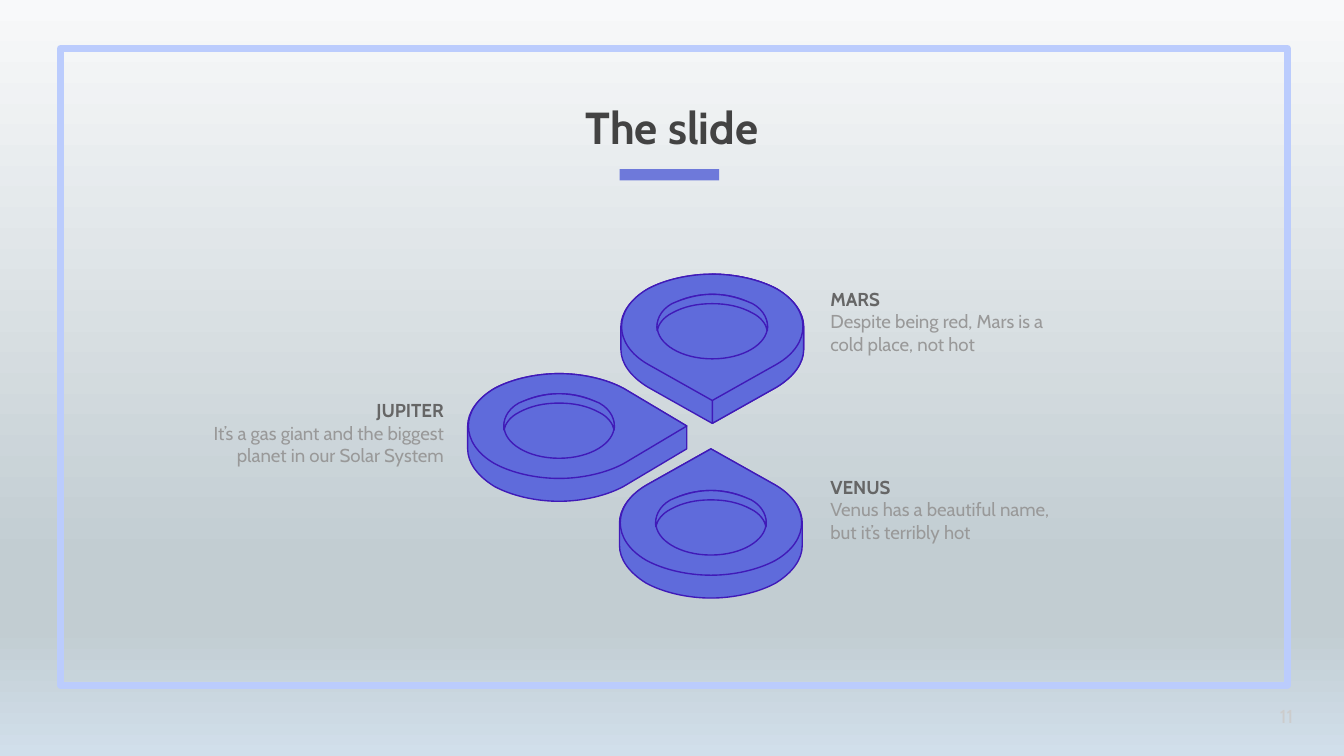
from dataclasses import dataclass

from lxml import etree
from pptx import Presentation
from pptx.dml.color import RGBColor as RGB
from pptx.enum.shapes import MSO_CONNECTOR as CONN, MSO_SHAPE as SHAPE
from pptx.enum.text import MSO_ANCHOR as ANCHOR, MSO_AUTO_SIZE as AUTO, PP_ALIGN as ALIGN
from pptx.oxml.ns import qn
from pptx.util import Inches, Pt


@dataclass(frozen=True)
class Theme:
    """Colours, type sizes and font of the deck."""
    font: str = "Cabin"
    title: str = "434343"
    heading: str = "666666"
    body: str = "999999"
    number: str = "CCCCCC"
    frame: str = "BBCCFD"
    accent: str = "303FD0"
    pin: str = "5F6BDB"
    pin_line: str = "401AB8"
    title_size: int = 24
    text_size: int = 10
    background: tuple = ((0, "F8F9FA"), (74, "C2CDD2"), (83, "C2CDD2"), (100, "D1DFEB"))


T = Theme()
DEPTH = 0.17


def color(value):
    """Return an RGB colour from its hex form."""
    return RGB.from_string(value)


def add_background(s):
    """Fill the slide with the vertical gradient."""
    fill = s.background.fill
    fill.gradient()
    fill.gradient_angle = 270
    stops = s.background._cSld.find(".//" + qn("a:gsLst"))
    for stop in list(stops):
        stops.remove(stop)
    for pos, value in T.background:
        gs = etree.SubElement(stops, qn("a:gs"), pos=str(pos * 1000))
        etree.SubElement(gs, qn("a:srgbClr"), val=value)


def style_text(p, size, value, bold=False, align=ALIGN.LEFT):
    """Format a paragraph and its runs."""
    p.alignment = align
    for r in p.runs:
        r.font.name, r.font.size, r.font.bold = T.font, Pt(size), bold
        r.font.color.rgb = color(value)


def set_frame(tf, anchor=ANCHOR.TOP):
    """Give a text frame wrapping, even margins and an anchor."""
    tf.word_wrap, tf.auto_size, tf.vertical_anchor = True, AUTO.NONE, anchor
    tf.margin_left = tf.margin_right = tf.margin_top = tf.margin_bottom = Inches(0.1)


def add_title(s, text, x, y, w, h):
    """Place the title with its short underline below."""
    sp = s.shapes.title
    sp.left, sp.top, sp.width, sp.height = map(Inches, (x, y, w, h))
    sp.text_frame.text = text
    set_frame(sp.text_frame, ANCHOR.BOTTOM)
    style_text(sp.text_frame.paragraphs[0], T.title_size, T.title, True, ALIGN.CENTER)
    left, top = x + w / 2 - 0.39, y + h + 0.06
    line = s.shapes.add_connector(
        CONN.STRAIGHT, Inches(left), Inches(top), Inches(left + 0.74), Inches(top))
    line.line.width = Pt(6)
    line.line.color.rgb = color(T.accent)
    clr = line._element.spPr.find(".//" + qn("a:srgbClr"))
    etree.SubElement(clr, qn("a:alpha"), val="65000")
    etree.SubElement(line._element.spPr, qn("a:effectLst"))


def add_border(s, x, y, w, h):
    """Draw the open frame around the content."""
    sp = s.shapes.add_shape(SHAPE.RECTANGLE, *map(Inches, (x, y, w, h)))
    sp.shadow.inherit = False
    sp.fill.background()
    sp.line.color.rgb = color(T.frame)
    sp.line.width = Pt(3.5)


def add_label(s, heading, text, x, y, w, h, align):
    """Write a bold heading with its description."""
    tf = s.shapes.add_textbox(*map(Inches, (x, y, w, h))).text_frame
    set_frame(tf)
    tf.text = f"{heading}\n{text}"
    first, second = tf.paragraphs
    style_text(first, T.text_size, T.heading, True, align)
    style_text(second, T.text_size, T.body, False, align)


def add_number(s, text, x, y, w, h):
    """Write the slide number."""
    tf = s.shapes.add_textbox(*map(Inches, (x, y, w, h))).text_frame
    set_frame(tf, ANCHOR.MIDDLE)
    tf.text = text
    style_text(tf.paragraphs[0], T.text_size, T.number, align=ALIGN.RIGHT)


def rotate(segments, depth=0):
    """Turn segments half a turn about the middle of the depth."""
    return [[(-x, depth - y) for x, y in seg] for seg in segments]


def half_outline(tip, depth):
    """Return the left side and lower cap, with an optional tip on either."""
    if tip == "side":
        side = [[(-0.95, 0)], [(-0.95, depth)], [(-0.48, 0.28 + depth)]]
    elif depth:
        side = [[(-0.61, -0.2), (-0.68, -0.1), (-0.68, 0)], [(-0.68, depth)],
                [(-0.68, depth + 0.1), (-0.61, depth + 0.2), (-0.48, depth + 0.28)]]
    else:
        side = [[(-0.74, -0.13), (-0.74, 0.13), (-0.48, 0.28)]]
    if tip == "cap":
        cap = [[(0, 0.55 + depth)], [(0.48, 0.28 + depth)]]
    else:
        cap = [[(-0.35, 0.35 + depth), (-0.17, 0.39 + depth), (0, 0.39 + depth)],
               [(0.17, 0.39 + depth), (0.35, 0.35 + depth), (0.48, 0.28 + depth)]]
    return side + cap


def pin_outline(tip, depth=0):
    """Return the closed pin outline with its tip at the bottom, right or top."""
    first = "cap" if tip == "bottom" else None
    second = {"right": "side", "top": "cap"}.get(tip)
    return half_outline(first, depth) + rotate(half_outline(second, depth), depth)


def rim_outline():
    """Return the crescent along the far edge of the hole."""
    left = [(0, -0.24), (-0.11, -0.24), (-0.21, -0.21), (-0.3, -0.17), (-0.39, -0.12),
            (-0.42, -0.04), (-0.41, 0.03), (-0.4, -0.02), (-0.36, -0.07), (-0.3, -0.1),
            (-0.21, -0.15), (-0.11, -0.17), (0, -0.17)]
    points = left[1:] + [(-x, y) for x, y in left[-2::-1]]
    return [points[i:i + 3] for i in range(0, len(points), 3)]


def add_outline(group, cx, cy, segments, start=None):
    """Draw lines (one point) and curves (three points) as one closed freeform."""
    def place(point):
        return Inches(cx + point[0]), Inches(cy + point[1])

    builder = group.shapes.build_freeform(*place(start or segments[-1][-1]))
    builder.add_line_segments([place(pt) for seg in segments for pt in seg], close=True)
    sp = builder.convert_to_shape()
    nodes = iter(sp._element.findall(".//" + qn("a:lnTo")))
    for seg in segments:
        parts = [next(nodes) for _ in seg]
        if len(parts) == 3:
            curve = etree.Element(qn("a:cubicBezTo"))
            parts[0].addprevious(curve)
            for part in parts:
                curve.append(part[0])
                part.getparent().remove(part)
    sp.shadow.inherit = False
    sp.fill.solid()
    sp.fill.fore_color.rgb = color(T.pin)
    sp.line.color.rgb = color(T.pin_line)
    sp.line.width = Pt(0.75)


def add_pin(s, cx, cy, tip):
    """Draw a raised pin with a recessed hole, centred on its hole."""
    group = s.shapes.add_group_shape()
    body = pin_outline(tip, DEPTH)
    add_outline(group, cx, cy, body)
    if tip == "bottom":
        add_outline(group, cx, cy, body[4:9], body[3][-1])
    add_outline(group, cx, cy, pin_outline(tip))
    hole = [[(-0.23, -0.24), (-0.41, -0.13), (-0.41, 0)],
            [(-0.41, 0.13), (-0.23, 0.24), (0, 0.24)]]
    add_outline(group, cx, cy, hole + rotate(hole))
    add_outline(group, cx, cy, rim_outline())


def main():
    """Build and save the slide."""
    prs = Presentation()
    prs.slide_width, prs.slide_height = Inches(10), Inches(5.625)
    s = prs.slides.add_slide(prs.slide_layouts[5])
    add_background(s)
    add_title(s, "The slide", 0, 0.24, 10, 1)
    add_border(s, 0.45, 0.36, 9.13, 4.74)
    add_label(s, "JUPITER", "It’s a gas giant and the biggest planet in our Solar System",
              1.13, 2.87, 2.27, 0.77, ALIGN.RIGHT)
    add_label(s, "MARS", "Despite being red, Mars is a cold place, not hot",
              6.08, 2.04, 1.91, 0.82, ALIGN.LEFT)
    add_label(s, "VENUS", "Venus has a beautiful name, but it’s terribly hot",
              6.08, 3.44, 2.01, 1.12, ALIGN.LEFT)
    for cx, cy, tip in ((5.3, 2.43, "bottom"), (4.16, 3.17, "right"), (5.29, 3.89, "top")):
        add_pin(s, cx, cy, tip)
    add_number(s, "11", 9.1, 5.13, 0.62, 0.4)
    prs.save("out.pptx")


if __name__ == "__main__":
    main()
